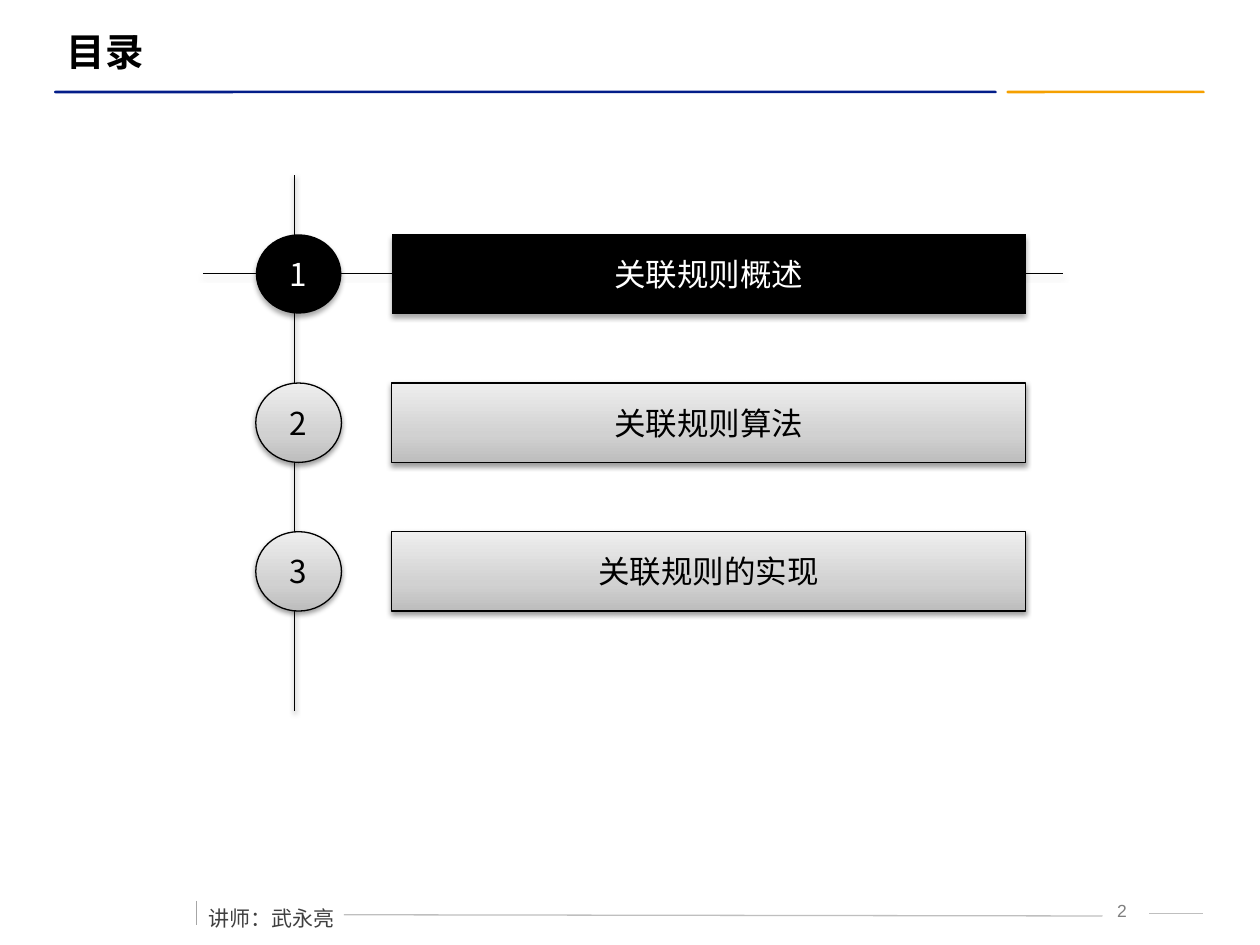
from lxml.etree import SubElement
from pptx import Presentation
from pptx.dml.color import RGBColor
from pptx.enum.shapes import MSO_CONNECTOR, MSO_SHAPE
from pptx.enum.text import MSO_ANCHOR, MSO_AUTO_SIZE, PP_ALIGN
from pptx.oxml import parse_xml
from pptx.oxml.ns import nsdecls, qn
from pptx.util import Inches, Pt

# Content
TITLE = "目录"
AGENDA = [  # text, Latin font
    ("关联规则概述", "Calibri"),
    ("关联规则算法", "Calibri"),
    ("关联规则的实现", "Noto Sans CJK SC"),
]
ACTIVE = 0
LECTURER = "讲师：武永亮"
PAGE_NUMBER = "2"

THEME = {
    "han": "Noto Sans CJK SC", "latin": "Arial",
    "title": 22, "item": 18, "lecturer": 12, "number": 10,
    "black": "000000", "white": "FFFFFF", "blue": "031D89", "orange": "F5A000",
    "rule": "BFBFBF", "tick": "A6A6A6", "footer": "404040", "muted": "7F7F7F",
    "gradient": [(0, "BDBDBD"), (35, "D1D1D1"), (100, "EEEEEE")],
}

# Layout in inches
FIRST_TOP, ROW_STEP, ROW_HEIGHT = 1.86, 1.18, 0.63
CIRCLE_LEFT, CIRCLE_WIDTH = 2.03, 0.68
BAR_LEFT, BAR_WIDTH = 3.11, 5.03
HEADER_BARS = [(7.99, 1.57, "orange", 0.36), (0.43, 7.48, "blue", 0.5)]
FOOTER_LINES = [
    ((2.73, 7.26), (8.75, 7.27), "rule"),
    ((9.12, 7.25), (9.55, 7.25), "rule"),
    ((1.56, 7.15), (1.56, 7.34), "tick"),
]
AXES = [((2.34, 1.39), (2.34, 5.64)), ((1.61, 2.17), (8.44, 2.17))]


def color(name):
    return RGBColor.from_string(THEME[name])


def set_effect(item, opacity=None, distance=0):
    """Append an effect list, with a downward shadow if an opacity is given."""
    effects = SubElement(item._element.spPr, qn("a:effectLst"))
    if opacity:
        shadow = SubElement(effects, qn("a:outerShdw"), blurRad=str(Pt(3.1)),
                            dist=str(Pt(distance)), dir="5400000", rotWithShape="0")
        tint = SubElement(shadow, qn("a:srgbClr"), val=THEME["black"])
        SubElement(tint, qn("a:alpha"), val=str(opacity * 1000))


def add_line(page, start, end, name, shadow=()):
    line = page.shapes.add_connector(
        MSO_CONNECTOR.STRAIGHT, *[Inches(v) for v in (*start, *end)])
    line.line.color.rgb = color(name)
    line.line.width = Pt(0.75)
    set_effect(line, *shadow)


def write(box, text, size, font, name, align=PP_ALIGN.LEFT, wrap=True,
          anchor=MSO_ANCHOR.TOP, bold=False):
    frame = box.text_frame
    frame.word_wrap = wrap
    frame.vertical_anchor = anchor
    para = frame.paragraphs[0]
    para.alignment = align
    span = para.add_run()
    span.text = text
    span.font.size = Pt(THEME[size])
    span.font.bold = bold
    span.font.name = font
    span.font.color.rgb = color(name)
    SubElement(span.font._element, qn("a:ea"), typeface=THEME["han"])
    return para


def add_text(page, area, *args, **options):
    box = page.shapes.add_textbox(*[Inches(v) for v in area])
    return box, write(box, *args, **options)


def fill_gradient(shape):
    stops = "".join(f'<a:gs pos="{pos * 1000}"><a:srgbClr val="{rgb}"/></a:gs>'
                    for pos, rgb in THEME["gradient"])
    shape._element.spPr.append(parse_xml(
        f'<a:gradFill {nsdecls("a")} rotWithShape="1"><a:gsLst>{stops}</a:gsLst>'
        '<a:lin ang="16200000" scaled="0"/></a:gradFill>'))


def add_item(page, kind, left, top, width, text, font, active):
    shape = page.shapes.add_shape(
        kind, *[Inches(v) for v in (left, top, width, ROW_HEIGHT)])
    if active:
        shape.fill.solid()
        shape.fill.fore_color.rgb = color("black")
        shape.line.fill.background()
        set_effect(shape, 35, 1.8)
    else:
        fill_gradient(shape)
        shape.line.color.rgb = color("black")
        shape.line.width = Pt(0.75)
        set_effect(shape, 38, 1.6)
    write(shape, text, "item", font, "white" if active else "black",
          PP_ALIGN.CENTER, wrap=False, anchor=MSO_ANCHOR.MIDDLE)


def main():
    deck = Presentation()
    deck.slide_width, deck.slide_height = Inches(10), Inches(7.5)
    page = deck.slides.add_slide(deck.slide_layouts[5])

    # Title and the two rules below it
    title = page.shapes.title
    title.left, title.top = Inches(0.43), Inches(0.17)
    title.width, title.height = Inches(8.82), Inches(0.47)
    write(title, TITLE, "title", THEME["latin"], "black",
          anchor=MSO_ANCHOR.MIDDLE, bold=True)
    for left, width, name, rounding in HEADER_BARS:
        bar = page.shapes.add_shape(MSO_SHAPE.ROUNDED_RECTANGLE, Inches(left),
                                    Inches(0.72), Inches(width), Inches(0.02))
        bar.adjustments[0] = rounding
        bar.fill.solid()
        bar.fill.fore_color.rgb = color(name)
        bar.line.fill.background()
        bar.shadow.inherit = False

    # Footer
    add_text(page, (8.67, 7.09, 0.47, 0.25), PAGE_NUMBER, "number",
             THEME["latin"], "muted", PP_ALIGN.CENTER)
    for start, end, name in FOOTER_LINES:
        add_line(page, start, end, name)
    box, para = add_text(page, (1.56, 7.04, 1.21, 0.36), LECTURER, "lecturer",
                         THEME["han"], "footer", wrap=False)
    box.text_frame.auto_size = MSO_AUTO_SIZE.SHAPE_TO_FIT_TEXT
    para.line_spacing = 1.5
    para.space_before = Pt(6)

    # Agenda: crossing axes, then a numbered circle and a bar per row
    for start, end in AXES:
        add_line(page, start, end, "black", shadow=(38, 1.6))
    for index, (text, font) in enumerate(AGENDA):
        top = FIRST_TOP + index * ROW_STEP
        active = index == ACTIVE
        add_item(page, MSO_SHAPE.OVAL, CIRCLE_LEFT, top, CIRCLE_WIDTH,
                 str(index + 1), THEME["han"], active)
        add_item(page, MSO_SHAPE.ACTION_BUTTON_CUSTOM, BAR_LEFT, top, BAR_WIDTH,
                 text, font, active)

    deck.save("out.pptx")


if __name__ == "__main__":
    main()
